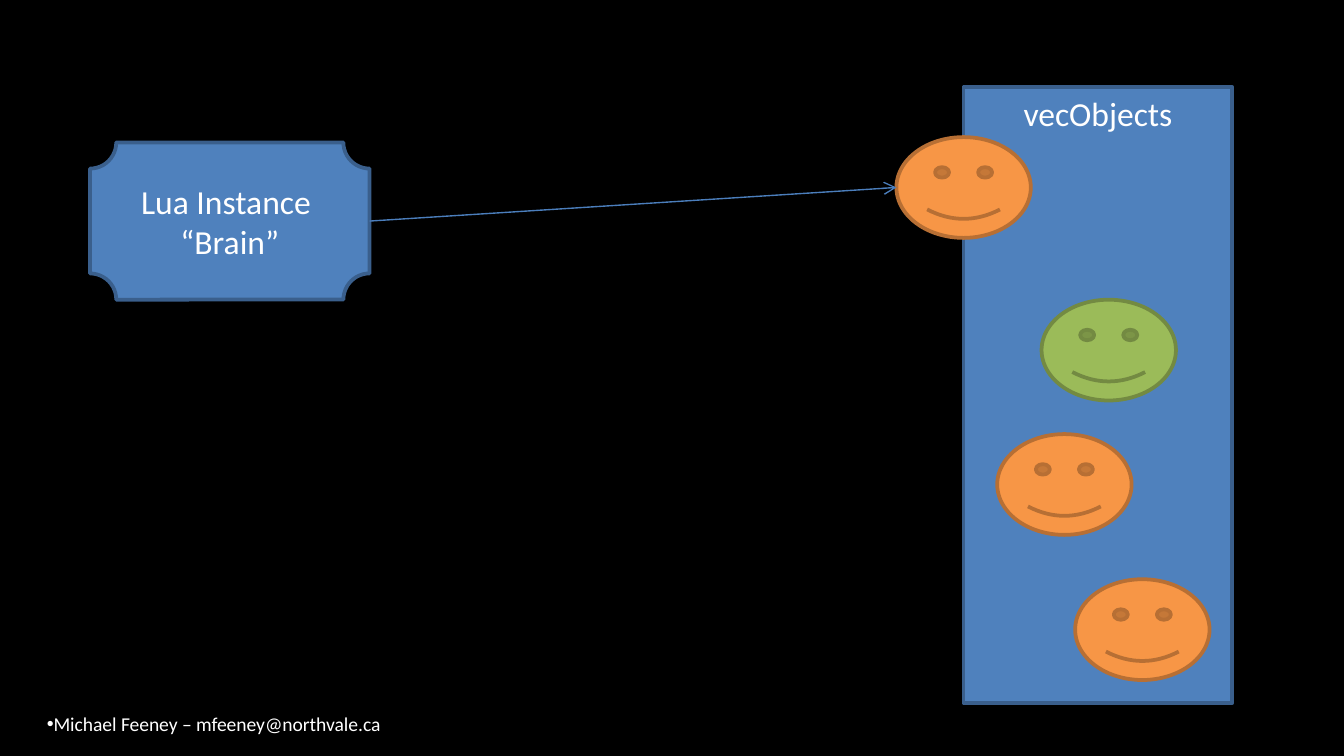
from dataclasses import dataclass

from lxml.etree import SubElement
from pptx import Presentation
from pptx.dml.color import RGBColor
from pptx.enum.shapes import MSO_CONNECTOR, MSO_SHAPE
from pptx.enum.text import MSO_ANCHOR, PP_ALIGN
from pptx.oxml.ns import qn
from pptx.util import Inches, Pt


@dataclass(frozen=True)
class Theme:
    """Colours and type sizes of the slide."""
    font: str = "Calibri"
    bullet_font: str = "Arial"
    background: str = "000000"
    text: str = "FFFFFF"
    arrow: str = "4B7EBC"
    blue: tuple = ("4F81BD", "3A5F8C")
    orange: tuple = ("F79646", "B76F34")
    green: tuple = ("9BBB59", "738A42")
    label_size: float = 18
    footer_size: float = 10.5
    outline: float = 2
    arrow_width: float = 0.75


THEME = Theme()
SLIDE_WIDTH = Inches(10)
SLIDE_HEIGHT = SLIDE_WIDTH * 9 // 16
FOOTER = "Michael Feeney – mfeeney@northvale.ca"
FOOTER_BOX = (0.25, 5.25, 7.92, 0.29)
VECTOR_LABEL = ["vecObjects"]
VECTOR_BOX = (7.17, 0.65, 2, 4.58)
VECTOR_MARGIN = 0.04
BRAIN_LABEL = ["Lua Instance ", "“Brain”"]
BRAIN_BOX = (0.67, 1.06, 2.08, 1.17)
FACE_SIZE = (1, 0.75)
FACES = [  # left, top, colours; the first one is driven by the brain
    (6.67, 1.02, THEME.orange),
    (7.75, 2.23, THEME.green),
    (7.42, 3.23, THEME.orange),
    (8, 4.31, THEME.orange),
]
RIGHT_OF_PLAQUE, LEFT_OF_FACE = 3, 2


def rgb(value):
    """Turn a hex string into a colour."""
    return RGBColor.from_string(value)


def write(text_frame, lines, size, align, anchor):
    """Put lines of text into a frame, one paragraph each."""
    text_frame.word_wrap = True
    text_frame.vertical_anchor = anchor
    text_frame.text = "\n".join(lines)
    for paragraph in text_frame.paragraphs:
        paragraph.alignment = align
        for run in paragraph.runs:
            run.font.name = THEME.font
            run.font.size = Pt(size)
            run.font.color.rgb = rgb(THEME.text)


def add_figure(slide, kind, box, colours, lines=(), anchor=MSO_ANCHOR.MIDDLE):
    """Add a filled, outlined preset shape with an optional label."""
    fill, line = colours
    shape = slide.shapes.add_shape(kind, *map(Inches, box))
    shape.shadow.inherit = False
    shape.fill.solid()
    shape.fill.fore_color.rgb = rgb(fill)
    shape.line.color.rgb = rgb(line)
    shape.line.width = Pt(THEME.outline)
    if lines:
        write(shape.text_frame, lines, THEME.label_size, PP_ALIGN.CENTER, anchor)
    return shape


def add_footer(slide):
    """Add the bulleted author line."""
    frame = slide.shapes.add_textbox(*map(Inches, FOOTER_BOX)).text_frame
    write(frame, [FOOTER], THEME.footer_size, PP_ALIGN.LEFT, MSO_ANCHOR.TOP)
    properties = frame.paragraphs[0]._p.get_or_add_pPr()
    SubElement(properties, qn("a:buFont")).set("typeface", THEME.bullet_font)
    SubElement(properties, qn("a:buChar")).set("char", "•")


def add_arrow(slide, brain, face):
    """Connect the right side of the brain to the left side of a face."""
    end = (face.left, face.top + face.height // 2)
    arrow = slide.shapes.add_connector(MSO_CONNECTOR.STRAIGHT, 0, 0, *end)
    arrow.begin_connect(brain, RIGHT_OF_PLAQUE)
    arrow.end_connect(face, LEFT_OF_FACE)
    arrow.end_x, arrow.end_y = end
    arrow.line.color.rgb = rgb(THEME.arrow)
    arrow.line.width = Pt(THEME.arrow_width)
    SubElement(arrow.line._get_or_add_ln(), qn("a:tailEnd")).set("type", "arrow")
    SubElement(arrow._element.spPr, qn("a:effectLst"))


def main():
    """Build and save the slide."""
    presentation = Presentation()
    presentation.slide_width = SLIDE_WIDTH
    presentation.slide_height = SLIDE_HEIGHT
    slide = presentation.slides.add_slide(presentation.slide_layouts[6])
    slide.background.fill.solid()
    slide.background.fill.fore_color.rgb = rgb(THEME.background)

    add_footer(slide)
    vector = add_figure(slide, MSO_SHAPE.RECTANGLE, VECTOR_BOX, THEME.blue,
                        VECTOR_LABEL, MSO_ANCHOR.TOP)
    vector.text_frame.margin_top = Inches(VECTOR_MARGIN)
    faces = [add_figure(slide, MSO_SHAPE.SMILEY_FACE, (left, top, *FACE_SIZE), colours)
             for left, top, colours in FACES]
    brain = add_figure(slide, MSO_SHAPE.PLAQUE, BRAIN_BOX, THEME.blue, BRAIN_LABEL)
    add_arrow(slide, brain, faces[0])
    presentation.save("out.pptx")


main()
